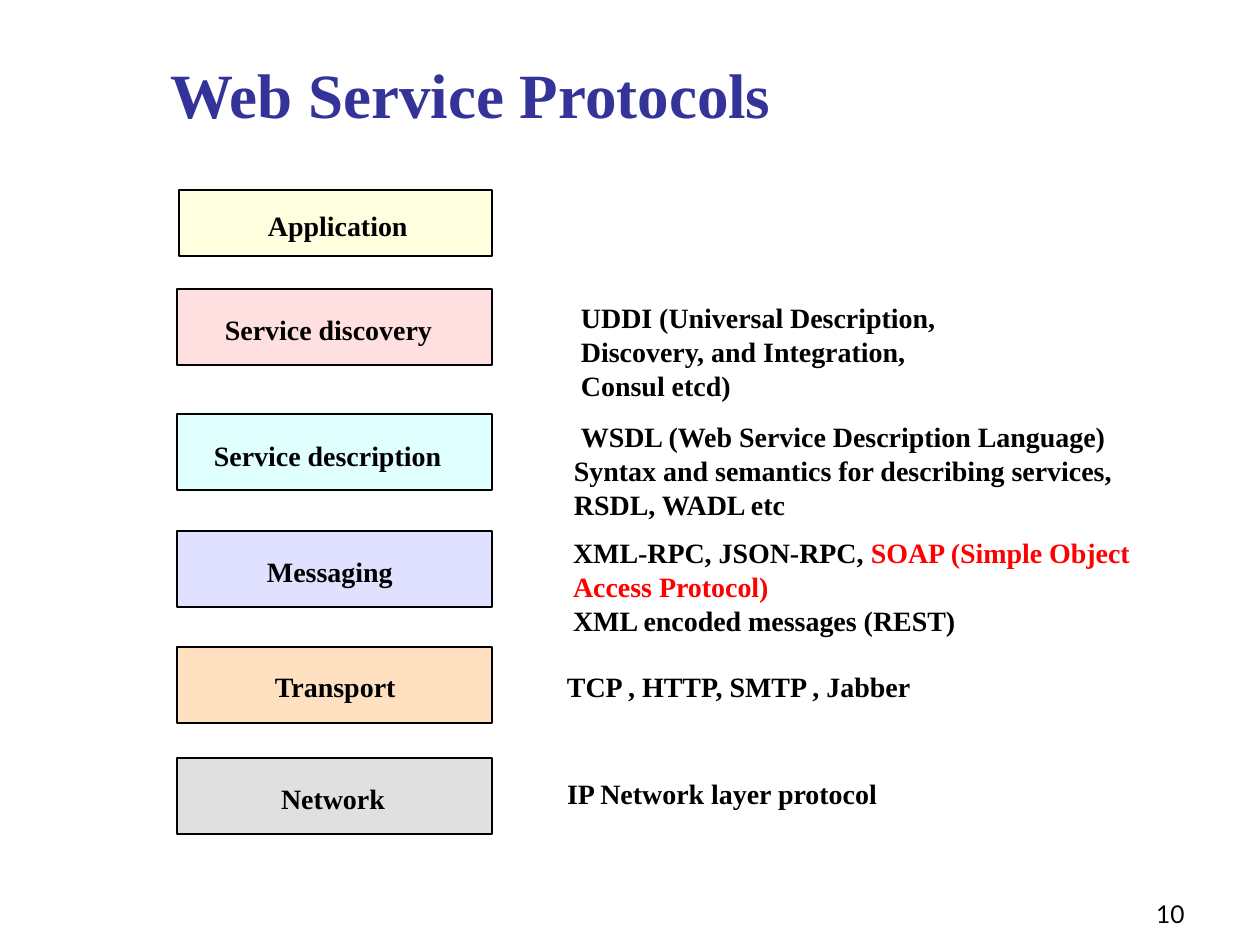
import pptx
import pptx.dml.color
import pptx.enum.shapes
import pptx.enum.text
import pptx.util

RGBColor = pptx.dml.color.RGBColor
ANCHOR = pptx.enum.text.MSO_ANCHOR
ALIGN = pptx.enum.text.PP_ALIGN

PX = 914400 / 126
SERIF = "Times New Roman"
BLACK = RGBColor(0x00, 0x00, 0x00)
RED = RGBColor(0xFF, 0x00, 0x00)
NAVY = RGBColor(0x33, 0x33, 0x99)
CREAM = RGBColor(0xFF, 0xFF, 0xE0)
PINK = RGBColor(0xFF, 0xE0, 0xE0)
CYAN = RGBColor(0xE0, 0xFF, 0xFF)
LAVENDER = RGBColor(0xE0, 0xE0, 0xFF)
PEACH = RGBColor(0xFF, 0xE0, 0xC0)
GRAY = RGBColor(0xE0, 0xE0, 0xE0)

LINE_H = 34

LAYERS = [
    ("Application", CREAM, (179, 190, 313, 66), (89, 19), None),
    ("Service discovery", PINK, (177, 289, 315, 76), (48, 24),
     ((404, 12, 396, 3 * LINE_H),
      [["UDDI (Universal Description, Discovery, and Integration, Consul etcd)"]], 0)),
    ("Service description", CYAN, (177, 414, 315, 76), (37, 24),
     ((397, 6, 540, 3 * LINE_H),
      [["WSDL (Web Service Description Language)"],
       ["Syntax and semantics for describing services, RSDL, WADL etc"]], 7)),
    ("Messaging", LAVENDER, (177, 531, 315, 76), (90, 24),
     ((396, 5, 624, 3 * LINE_H),
      [["XML-RPC, JSON-RPC, ", ("SOAP (Simple Object Access Protocol)", RED)],
       ["XML encoded messages (REST)"]], 0)),
    ("Transport", PEACH, (177, 647, 315, 76), (98, 23),
     ((390, 23, 388, LINE_H), [["TCP , HTTP, SMTP , Jabber"]], 0)),
    ("Network", GRAY, (177, 758, 315, 76), (104, 24),
     ((390, 19, 546, LINE_H), [["IP Network layer protocol"]], 0)),
]


def px(n):
    return pptx.util.Emu(round(n * PX))


def add_text(s, box, paragraphs, size=16, font=SERIF, color=BLACK, bold=True,
             align=ALIGN.LEFT, anchor=ANCHOR.TOP, inset=(0, 0), indent=0):
    tf = s.shapes.add_textbox(*map(px, box)).text_frame
    tf.word_wrap = True
    tf.vertical_anchor = anchor
    tf.margin_left = tf.margin_right = pptx.util.Inches(inset[0])
    tf.margin_top = tf.margin_bottom = pptx.util.Inches(inset[1])
    for i, runs in enumerate(paragraphs):
        p = tf.add_paragraph() if i else tf.paragraphs[0]
        p.alignment = align
        if indent and i == 0:
            p._p.get_or_add_pPr().set("indent", str(px(indent)))
        for run in runs:
            text, run_color = (run, color) if isinstance(run, str) else run
            r = p.add_run()
            r.text = text
            r.font.size = pptx.util.Pt(size)
            r.font.name = font
            r.font.bold = bold
            r.font.color.rgb = run_color


def add_layer(s, box, name, fill, label, note):
    x, y, w, h = box
    sp = s.shapes.add_shape(pptx.enum.shapes.MSO_SHAPE.RECTANGLE, *map(px, box))
    sp.shadow.inherit = False
    sp.fill.solid()
    sp.fill.fore_color.rgb = fill
    sp.line.color.rgb = BLACK
    sp.line.width = pptx.util.Pt(1.25)
    dx, dy = label
    add_text(s, (x + dx, y + dy, w - dx, LINE_H), [[name]])
    if note:
        (dx, dy, note_w, note_h), paragraphs, indent = note
        add_text(s, (x + dx, y + dy, note_w, note_h), paragraphs, indent=indent)


def add_title(s, box):
    add_text(s, box, [["Web Service Protocols"]], size=36, color=NAVY,
             anchor=ANCHOR.BOTTOM, inset=(0.1, 0.05))


def add_page_number(s, box):
    add_text(s, box, [["10"]], size=14, font="Lato", bold=False, align=ALIGN.RIGHT,
             anchor=ANCHOR.BOTTOM, inset=(0.1, 0.05))


def main():
    prs = pptx.Presentation()
    prs.slide_width, prs.slide_height = px(1260), px(945)
    s = prs.slides.add_slide(prs.slide_layouts[6])
    add_title(s, (158, 41, 1074, 96))
    for name, fill, box, label, note in LAYERS:
        add_layer(s, box, name, fill, label, note)
    add_page_number(s, (935, 872, 262, 63))
    prs.save("out.pptx")


if __name__ == "__main__":
    main()
